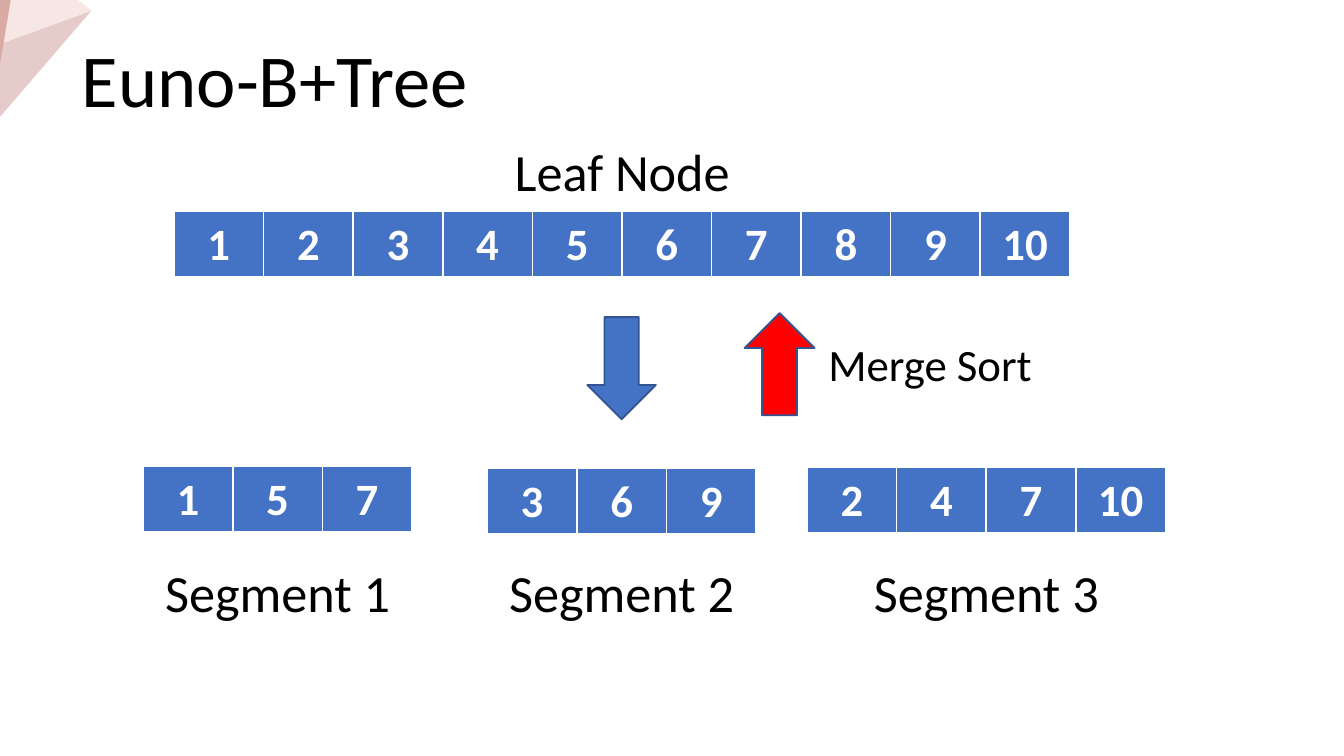
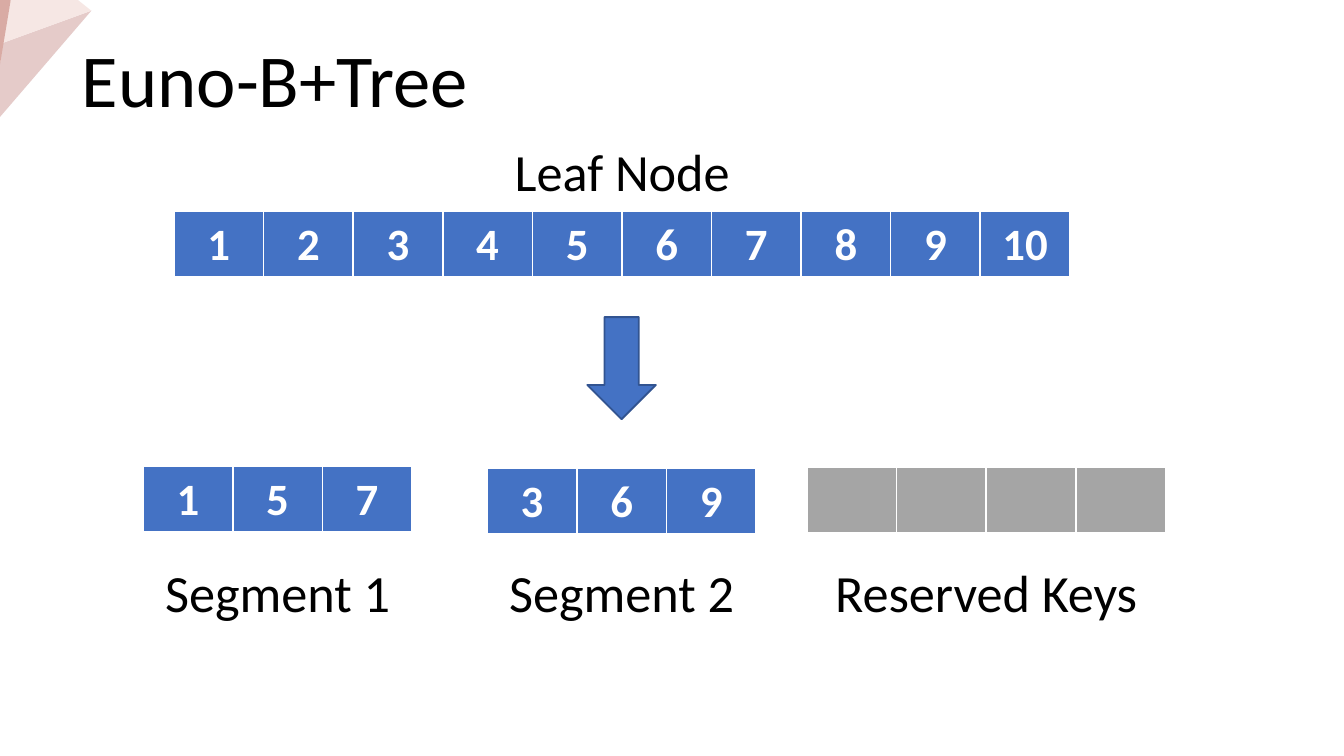
from typing import NamedTuple

from lxml import etree
from pptx import Presentation
from pptx import util as u
from pptx.dml.color import RGBColor
from pptx.enum import shapes, text
from pptx.oxml import ns

BLACK = RGBColor(0x00, 0x00, 0x00)
WHITE = RGBColor(0xFF, 0xFF, 0xFF)
BLUE = RGBColor(0x44, 0x72, 0xC4)
EDGE = RGBColor(0x32, 0x54, 0x91)
RED = RGBColor(0xFF, 0x00, 0x00)
GREY = RGBColor(0xA5, 0xA5, 0xA5)
ROSE = RGBColor(0xE5, 0xCB, 0xC9)
PALE = RGBColor(0xF6, 0xE7, 0xE4)
CLAY = RGBColor(0xD9, 0xAB, 0xA4)
FONT = "Calibri"

WIDE = u.Inches(10)
HIGH = u.Emu(WIDE * 9 // 16)
UNIT = WIDE / 100  # square grid: one hundredth of the slide's width
CELL, ROW = 100 / 15, 5
CENTER = text.PP_ALIGN.CENTER
BORDERS = {"lnL": 1, "lnR": 1, "lnT": 1, "lnB": 3}


class Box(NamedTuple):
    left: float
    top: float
    width: float
    height: float

    def emu(self) -> list[u.Length]:
        return [u.Emu(round(n * UNIT)) for n in self]


class Strip(NamedTuple):
    """A row of keys, with a name centred on it."""
    keys: list[str]
    left: float
    top: float
    name: str
    span: float
    level: float
    fill: RGBColor = BLUE


class Arrow(NamedTuple):
    kind: shapes.MSO_SHAPE
    box: Box
    fill: RGBColor


class Facet(NamedTuple):
    fill: RGBColor
    points: list[tuple[float, float]]


FACETS = [
    Facet(ROSE, [(6.8, 0.8), (0.2, 3.2), (0, 4.8), (0, 8.7)]),
    Facet(PALE, [(6.8, 0.8), (5.8, 0), (0.8, 0), (0.2, 3.2)]),
    Facet(CLAY, [(0.8, 0), (0, 0), (0, 4.8)]),
]
BASE = 41.2
LEAF = Strip([str(n) for n in range(1, 11)], 12.95, 15.7, "Leaf Node", 18.2, 9.9)
FIRST = Strip(["1", "5", "7"], 10.65, 34.7, "Segment 1", 18.9, BASE)
SECOND = Strip(["3", "6", "9"], 36.25, 34.85, "Segment 2", 18.9, BASE)
THIRD = Strip(["2", "4", "7", "10"], 60.05, 34.8, "Segment 3", 18.9, BASE)
SPARE = Strip([""] * 4, 60.05, 34.8, "Reserved Keys", 24.7, BASE, GREY)
SPLIT = Arrow(shapes.MSO_SHAPE.DOWN_ARROW, Box(43.7, 23.6, 5.1, 7.6), BLUE)
MERGE = Arrow(shapes.MSO_SHAPE.UP_ARROW, Box(55.4, 23.3, 5.2, 7.6), RED)


def style(para, size: float, color: RGBColor, align=CENTER, bold=False) -> None:
    para.alignment = align
    for run in para.runs:
        run.font.name, run.font.size = FONT, u.Pt(size)
        run.font.bold, run.font.color.rgb = bold, color


def add_facet(slide, facet: Facet) -> None:
    start, *rest = [(x * UNIT, y * UNIT) for x, y in facet.points]
    pen = slide.shapes.build_freeform(*start)
    pen.add_line_segments(rest, close=True)
    shape = pen.convert_to_shape()
    shape.shadow.inherit = False
    shape.fill.solid()
    shape.fill.fore_color.rgb = facet.fill
    shape.line.fill.background()


def set_title(slide, words: str) -> None:
    title = slide.shapes.title
    title.left, title.top, title.width, title.height = Box(5.1, 1.95, 31, 7.7).emu()
    frame = title.text_frame
    frame.text = words
    frame.word_wrap = False
    frame.auto_size = text.MSO_AUTO_SIZE.SHAPE_TO_FIT_TEXT
    frame.vertical_anchor = text.MSO_ANCHOR.TOP
    style(frame.paragraphs[0], 40, BLACK, text.PP_ALIGN.LEFT)


def add_label(slide, words: str, box: Box, size=28, wrap=False) -> None:
    frame = slide.shapes.add_textbox(*box.emu()).text_frame
    frame.text = words
    frame.word_wrap = wrap
    frame.auto_size = text.MSO_AUTO_SIZE.SHAPE_TO_FIT_TEXT
    style(frame.paragraphs[0], size, BLACK)


def add_borders(cell) -> None:
    props = cell._tc.get_or_add_tcPr()
    for tag, width in BORDERS.items():
        line = etree.SubElement(props, ns.qn(f"a:{tag}"), w=str(u.Pt(width)))
        fill = etree.SubElement(line, ns.qn("a:solidFill"))
        etree.SubElement(fill, ns.qn("a:srgbClr"), val=str(WHITE))


def add_strip(slide, strip: Strip) -> None:
    count = len(strip.keys)
    box = Box(strip.left, strip.top, count * CELL, ROW)
    table = slide.shapes.add_table(1, count, *box.emu()).table
    table.horz_banding = False
    for cell, key in zip(table.iter_cells(), strip.keys):
        add_borders(cell)
        cell.fill.solid()
        cell.fill.fore_color.rgb = strip.fill
        if key:
            cell.text_frame.text = key
            style(cell.text_frame.paragraphs[0], 24, WHITE, bold=True)


def add_name(slide, strip: Strip) -> None:
    mid = strip.left + len(strip.keys) * CELL / 2
    add_label(slide, strip.name, Box(mid - strip.span / 2, strip.level, strip.span, 5.7))


def add_arrow(slide, arrow: Arrow) -> None:
    shape = slide.shapes.add_shape(arrow.kind, *arrow.box.emu())
    shape.shadow.inherit = False
    shape.fill.solid()
    shape.fill.fore_color.rgb = arrow.fill
    shape.line.color.rgb = EDGE
    shape.line.width = u.Pt(1)


def add_tree(deck, last: Strip):
    """Add a slide that splits the leaf into two segments and a last strip."""
    slide = deck.slides.add_slide(deck.slide_layouts.get_by_name("Title Only"))
    for facet in FACETS:
        add_facet(slide, facet)
    set_title(slide, "Euno-B+Tree")
    strips = [LEAF, FIRST, SECOND, last]
    for strip in strips:
        add_strip(slide, strip)
    add_arrow(slide, SPLIT)
    for strip in strips:
        add_name(slide, strip)
    return slide


def main() -> None:
    deck = Presentation()
    deck.slide_width, deck.slide_height = WIDE, HIGH
    slide = add_tree(deck, THIRD)
    add_arrow(slide, MERGE)
    add_label(slide, "Merge Sort", Box(58.8, 24.6, 20.8, 5), 24, True)
    add_tree(deck, SPARE)
    deck.save("out.pptx")


if __name__ == "__main__":
    main()
